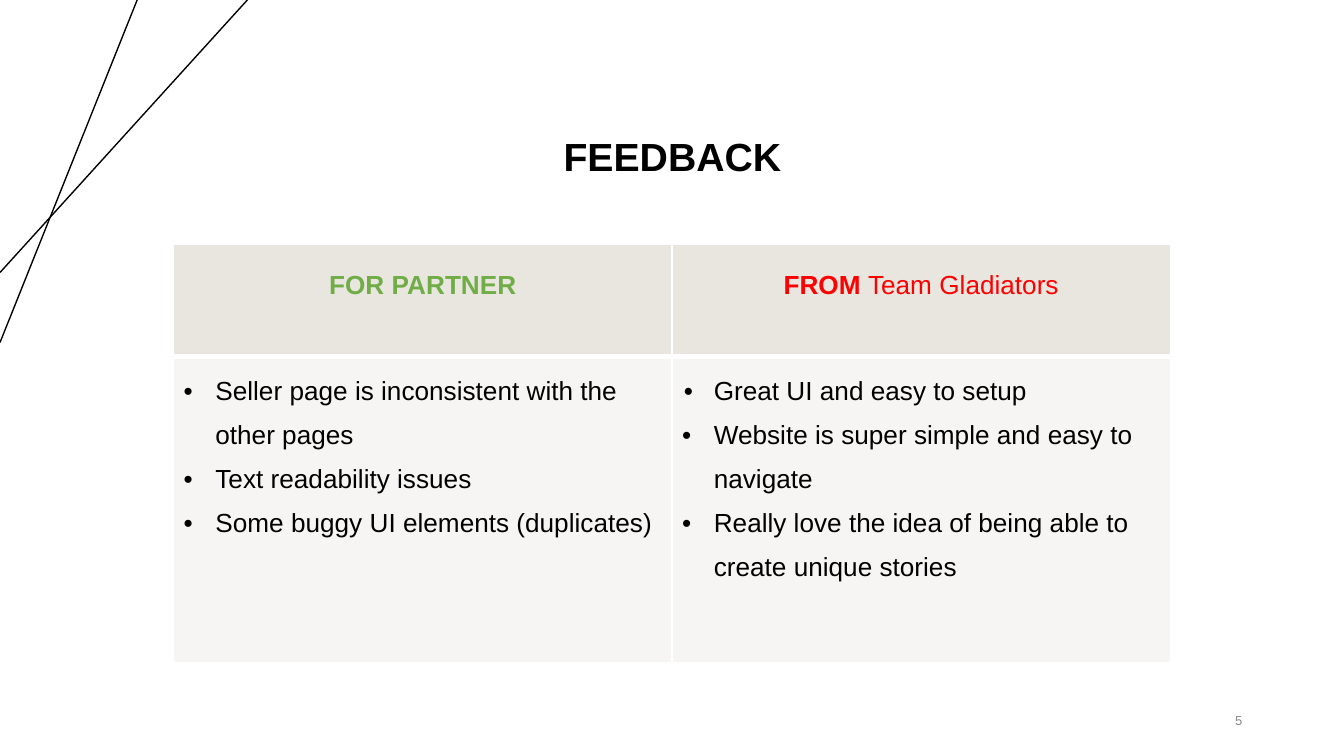
from dataclasses import dataclass

from lxml.etree import SubElement
from pptx import Presentation
from pptx.dml.color import RGBColor
from pptx.enum.shapes import MSO_CONNECTOR
from pptx.enum.text import MSO_ANCHOR, PP_ALIGN
from pptx.oxml.ns import qn
from pptx.util import Pt


@dataclass(frozen=True)
class Theme:
    font: str = "Arial"
    ink: str = "000000"
    paper: str = "FFFFFF"
    green: str = "70AD47"
    red: str = "FF0000"
    grey: str = "888888"
    head: str = "E9E6DF"
    body: str = "F6F5F3"
    title: float = 21
    text: float = 14
    small: float = 7


THEME = Theme()
LINES = [((73.5, 0), (0, 183.5)), ((132.5, 0), (0, 146))]
HEADS = [
    [("FOR PARTNER", True, THEME.green)],
    [("FROM ", True, THEME.red), ("Team Gladiators", False, THEME.red)],
]
# Each point is its text and the hanging indent of its bullet.
POINTS = [
    [
        ("Seller page is inconsistent with the other pages", 17),
        ("Text readability issues", 17),
        ("Some buggy UI elements (duplicates)", 17),
    ],
    [
        ("Great UI and easy to setup", 16),
        ("Website is super simple and easy to navigate", 17),
        ("Really love the idea of being able to create unique stories", 17),
    ],
]


def color(code):
    return RGBColor.from_string(code)


def add_run(para, text, size, code, bold=False):
    run = para.add_run()
    run.text = text
    font = run.font
    font.name, font.size, font.bold = THEME.font, Pt(size), bold
    font.color.rgb = color(code)


def add_line(slide, start, end):
    ends = [Pt(v) for v in (*start, *end)]
    line = slide.shapes.add_connector(MSO_CONNECTOR.STRAIGHT, *ends)
    line.line.color.rgb = color(THEME.ink)
    line.line.width = Pt(0.75)
    SubElement(line._element.spPr, qn("a:effectLst"))


def add_label(slide, box, text, size, code, align, bold=False, foot=3):
    """Add one line of text; foot is the bottom inset."""
    frame = slide.shapes.add_textbox(*[Pt(v) for v in box]).text_frame
    frame.word_wrap = True
    frame.vertical_anchor = MSO_ANCHOR.MIDDLE
    frame.margin_left = frame.margin_right = Pt(5)
    frame.margin_top, frame.margin_bottom = Pt(3), Pt(foot)
    para = frame.paragraphs[0]
    para.alignment = align
    add_run(para, text, size, code, bold)


def style_cell(cell, fill, top, bottom, foot=3):
    """Set borders, then fill, in the order that the schema asks for."""
    props = cell._tc.get_or_add_tcPr()
    for side, width in (("L", 1), ("R", 1), ("T", top), ("B", bottom)):
        edge = SubElement(props, qn(f"a:ln{side}"), w=str(Pt(width)))
        solid = SubElement(edge, qn("a:solidFill"))
        SubElement(solid, qn("a:srgbClr"), val=THEME.paper)
    cell.fill.solid()
    cell.fill.fore_color.rgb = color(fill)
    cell.margin_left = cell.margin_right = Pt(5.4)
    cell.margin_top, cell.margin_bottom = Pt(3), Pt(foot)


def add_bullet(para, hang):
    props = para._p.get_or_add_pPr()
    props.set("marL", str(Pt(17)))
    props.set("indent", str(-Pt(hang)))
    tint = SubElement(props, qn("a:buClr"))
    SubElement(tint, qn("a:srgbClr"), val=THEME.ink)
    SubElement(props, qn("a:buFont"), typeface=THEME.font)
    SubElement(props, qn("a:buChar"), char="•")


def fill_head(cell, runs):
    style_cell(cell, THEME.head, 1, 3, foot=19)
    cell.vertical_anchor = MSO_ANCHOR.MIDDLE
    para = cell.text_frame.paragraphs[0]
    para.alignment = PP_ALIGN.CENTER
    for text, bold, code in runs:
        add_run(para, text, THEME.text, code, bold)


def fill_body(cell, points):
    style_cell(cell, THEME.body, 3, 1)
    frame = cell.text_frame
    for num, (text, hang) in enumerate(points):
        para = frame.add_paragraph() if num else frame.paragraphs[0]
        para.line_spacing = 1.5
        add_bullet(para, hang)
        add_run(para, text, THEME.text, THEME.ink)


def add_grid(slide):
    box = [Pt(v) for v in (93, 131, 534, 224)]
    table = slide.shapes.add_table(2, 2, *box).table
    table.first_row = table.horz_banding = False
    for row, height in zip(table.rows, (60, 164)):
        row.height = Pt(height)
    for col, (head, points) in enumerate(zip(HEADS, POINTS)):
        table.columns[col].width = Pt(267)
        fill_head(table.cell(0, col), head)
        fill_body(table.cell(1, col), points)


def main():
    deck = Presentation()
    deck.slide_width, deck.slide_height = Pt(720), Pt(405)
    slide = deck.slides.add_slide(deck.slide_layouts[6])
    for start, end in LINES:
        add_line(slide, start, end)
    add_label(slide, (111.5, 52.5, 497.5, 78.5), "FEEDBACK", THEME.title,
              THEME.ink, PP_ALIGN.CENTER, bold=True, foot=20)
    add_label(slide, (508.5, 375, 162, 21.5), "5", THEME.small,
              THEME.grey, PP_ALIGN.RIGHT)
    add_grid(slide)
    deck.save("out.pptx")


if __name__ == "__main__":
    main()
